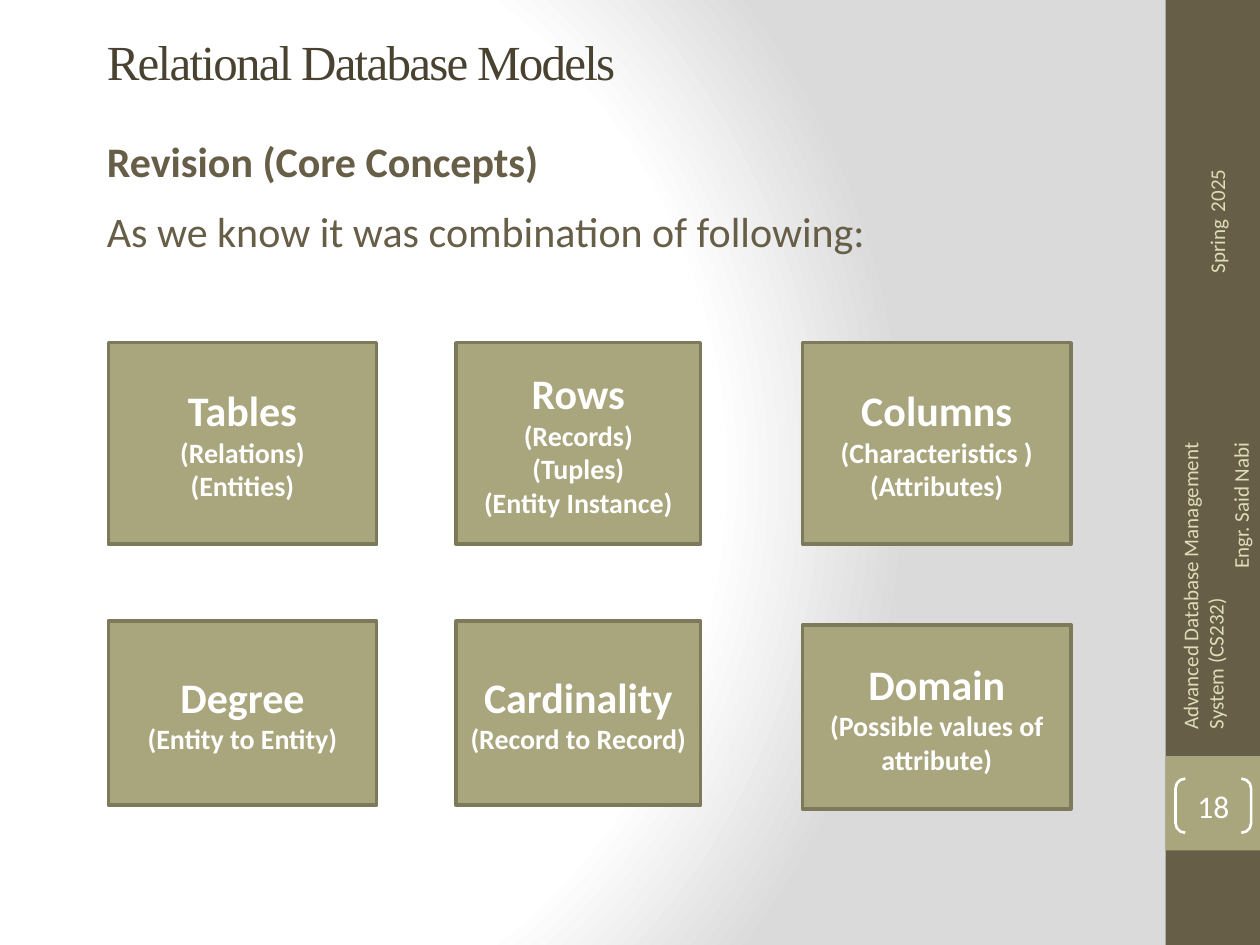
from pptx import Presentation
from pptx.dml.color import RGBColor
from pptx.enum.shapes import MSO_SHAPE
from pptx.enum.text import MSO_ANCHOR, PP_ALIGN
from pptx.oxml import parse_xml
from pptx.oxml.ns import nsdecls
from pptx.util import Inches, Pt

# Content: paragraphs are lists of (text, format) runs where formats vary
TITLE = "Relational Database Models"
INTRO = [("Revision (Core Concepts)", True),
         ("As we know it was combination of following:", False)]
CARDS = [  # one list per row: heading, then its synonyms
    [("Tables", "(Relations)", "(Entities)"),
     ("Rows", "(Records)", "(Tuples)", "(Entity Instance)"),
     ("Columns", "(Characteristics )", "(Attributes)")],
    [("Degree", "(Entity to Entity)"),
     ("Cardinality", "(Record to Record)"),
     ("Domain", "(Possible values of attribute)")],
]
COURSE = ["Advanced Database Management", "System (CS232)", "Engr. Said Nabi"]
TERM = [("Spring", 12), (" ", 18), ("2025", 12)]
PAGE = "18"

THEME = dict(
    title_font="Times New Roman", body_font="Calibri",
    dark="675E47", olive="A9A57C", edge="7D7A5C", title="494231",
    pale="DFDCB7", white="FFFFFF", grey="DADADA",
    title_size=28, head_size=24, sub_size=16, page_size=18, side_size=12,
)

# Grid: (left, width) of columns and (top, height) of rows
COLUMNS = [(0.86, 2.13), (3.62, 1.94), (6.37, 2.13)]
ROWS = [(2.72, 1.6), (4.93, 1.46)]
DROP = {"Domain": 0.03}  # this card sits slightly below its row


def color(name):
    return RGBColor.from_string(THEME[name])


def add_run(p, text, size, ink, font="body_font", bold=False, spacing=None):
    r = p.add_run()
    r.text = text
    r.font.name = THEME[font]
    r.font.size = Pt(size)
    r.font.bold = bold
    r.font.color.rgb = color(ink)
    if spacing is not None:
        r.font._element.set("spc", str(spacing * 100))


def add_text(tf, runs, align=PP_ALIGN.LEFT, before=0, after=0, **fmt):
    """Add one paragraph; runs is a text or a list of (text, size)."""
    p = tf.paragraphs[0] if not tf.text else tf.add_paragraph()
    p.alignment = align
    p.space_before, p.space_after = Pt(before), Pt(after)
    if isinstance(runs, str):
        runs = [(runs, fmt.pop("size"))]
    for text, size in runs:
        add_run(p, text, size, **fmt)
    return p


def add_box(s, x, y, w, h, anchor=MSO_ANCHOR.TOP, wrap=True, rotation=0):
    sp = s.shapes.add_textbox(Inches(x), Inches(y), Inches(w), Inches(h))
    sp.rotation = rotation
    tf = sp.text_frame
    tf.word_wrap, tf.vertical_anchor = wrap, anchor
    return tf


def add_panel(s, x, y, w, h, fill=None, line=None, width=2, kind=MSO_SHAPE.RECTANGLE):
    sp = s.shapes.add_shape(kind, Inches(x), Inches(y), Inches(w), Inches(h))
    sp.shadow.inherit = False
    if fill:
        sp.fill.solid()
        sp.fill.fore_color.rgb = color(fill)
    else:
        sp.fill.background()
    if line:
        sp.line.color.rgb = color(line)
        sp.line.width = Pt(width)
    else:
        sp.line.fill.background()
    sp.text_frame.word_wrap = True
    sp.text_frame.vertical_anchor = MSO_ANCHOR.MIDDLE
    return sp


def set_background(s):
    stops = "".join(
        f'<a:gs pos="{pos * 1000}"><a:srgbClr val="{THEME[name]}"/></a:gs>'
        for pos, name in [(0, "white"), (75, "white"), (100, "grey")])
    s._element.cSld.insert(0, parse_xml(
        f'<p:bg {nsdecls("p", "a")}><p:bgPr><a:gradFill rotWithShape="1">'
        f'<a:gsLst>{stops}</a:gsLst><a:path path="circle">'
        '<a:fillToRect l="20000" t="50000" r="100000" b="50000"/></a:path>'
        '</a:gradFill><a:effectLst/></p:bgPr></p:bg>'))


def add_sidebar(s):
    add_panel(s, 9.25, 0, 0.75, 7.5, fill="dark")
    add_panel(s, 9.25, 6, 0.75, 0.75, fill="olive")

    # Course and lecturer, reading upwards
    tf = add_box(s, 8.35, 4.51, 2.59, 0.4, MSO_ANCHOR.MIDDLE, rotation=270)
    for text in COURSE:
        p = add_text(tf, text, PP_ALIGN.RIGHT, size=THEME["side_size"], ink="pale")
        if text == COURSE[1]:  # starts level with the line above
            p.alignment = PP_ALIGN.LEFT
            p._p.get_or_add_pPr().set("marL", str(Inches(0.12)))

    # Term
    tf = add_box(s, 9.11, 1.55, 1.03, 0.4, wrap=False, rotation=270)
    add_text(tf, TERM, ink="pale")

    # Page number in brackets
    sp = add_panel(s, 9.33, 6.18, 0.6, 0.43, line="white", width=1.5,
                   kind=MSO_SHAPE.DOUBLE_BRACKET)
    sp.adjustments[0] = 0.18
    tf = sp.text_frame
    tf.margin_left = tf.margin_right = tf.margin_top = tf.margin_bottom = 0
    add_text(tf, PAGE, PP_ALIGN.CENTER, size=THEME["page_size"], ink="white")


def add_cards(s):
    for (y, h), row in zip(ROWS, CARDS):
        for (x, w), lines in zip(COLUMNS, row):
            top = y + DROP.get(lines[0], 0)
            tf = add_panel(s, x, top, w, h, fill="olive", line="edge").text_frame
            for i, text in enumerate(lines):
                size = THEME["sub_size" if i else "head_size"]
                add_text(tf, text, PP_ALIGN.CENTER, size=size, ink="white", bold=True)


def main():
    prs = Presentation()
    prs.slide_width, prs.slide_height = Inches(10), Inches(7.5)
    s = prs.slides.add_slide(prs.slide_layouts[6])
    set_background(s)
    add_sidebar(s)

    # Title and introduction
    tf = add_box(s, 0.75, -0.14, 8.33, 1.25, MSO_ANCHOR.MIDDLE)
    add_text(tf, TITLE, size=THEME["title_size"], ink="title",
             font="title_font", spacing=-1)
    tf = add_box(s, 0.75, 1.03, 8.08, 1.66)
    for i, (text, bold) in enumerate(INTRO):
        add_text(tf, text, before=4.8 if i else 0, after=6,
                 size=THEME["head_size"], ink="dark", bold=bold)

    add_cards(s)
    prs.save("out.pptx")


if __name__ == "__main__":
    main()
